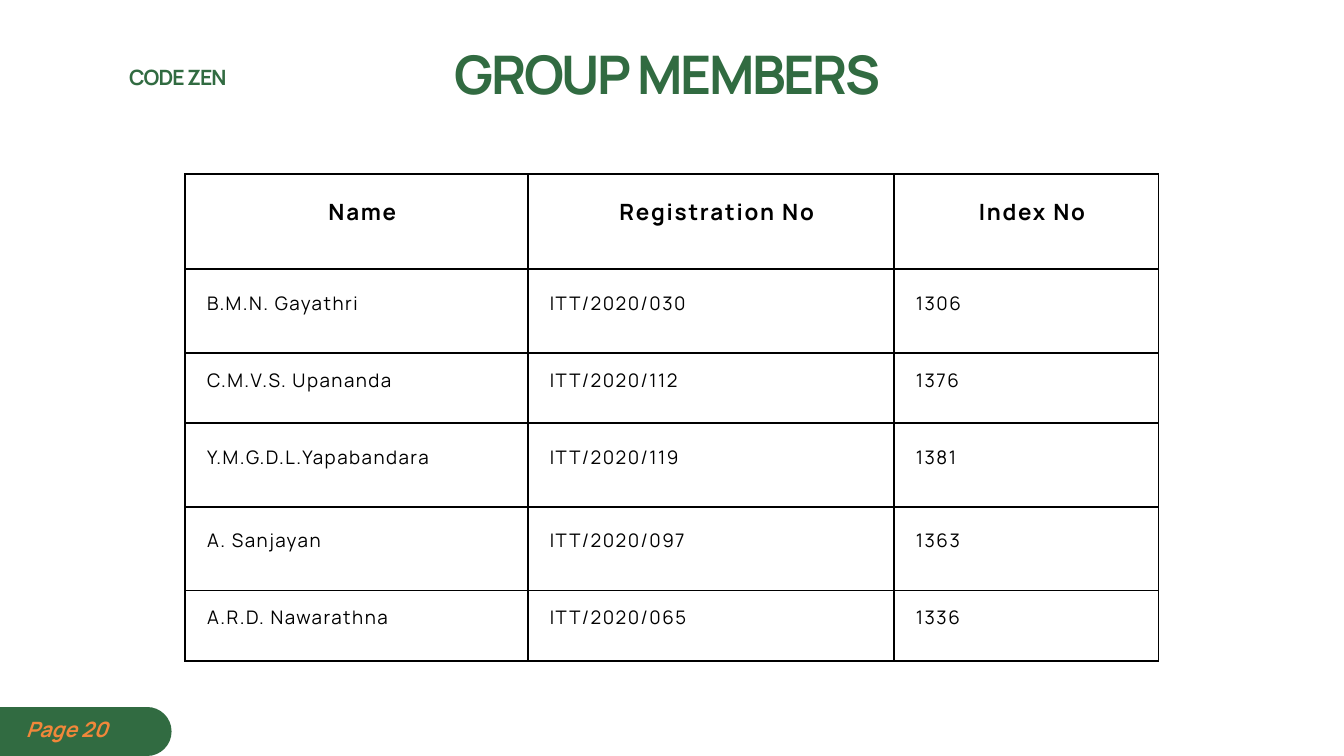
import pptx
import pptx.util
import pptx.dml.color
import pptx.enum.shapes
import pptx.enum.text
import pptx.oxml
import pptx.oxml.ns
from lxml import etree

Cm = pptx.util.Cm
Pt = pptx.util.Pt
RGBColor = pptx.dml.color.RGBColor
ALIGN = pptx.enum.text.PP_ALIGN
qn = pptx.oxml.ns.qn

GREEN = RGBColor(0x31, 0x6B, 0x41)
ORANGE = RGBColor(0xF1, 0x87, 0x3A)
BLACK = RGBColor(0, 0, 0)

LABELS = [
    {"text": "GROUP MEMBERS", "at": (7.26, 1.17, 36.3, 2.87), "inset_right": 0.36,
     "align": ALIGN.CENTER, "leading": 79.8, "spacing": -2.5,
     "font": {"size": Pt(57), "bold": True}, "color": GREEN},
    {"text": "CODE ZEN", "at": (4.88, 2.29, 11.07, 1.14), "inset_right": 0,
     "align": ALIGN.LEFT, "leading": 31.6, "spacing": -1,
     "font": {"size": Pt(22.6), "bold": True}, "color": GREEN},
    {"text": "Page 20", "at": (0, 27.23, 4.06, 0.89), "inset_right": 0,
     "align": ALIGN.RIGHT, "leading": 22.6, "spacing": 0,
     "font": {"size": Pt(22.6), "bold": True, "italic": True}, "color": ORANGE},
]

MEMBERS = [
    ("Name", "Registration No", "Index No"),
    ("B.M.N. Gayathri", "ITT/2020/030", "1306"),
    ("C.M.V.S. Upananda", "ITT/2020/112", "1376"),
    ("Y.M.G.D.L.Yapabandara", "ITT/2020/119", "1381"),
    ("A. Sanjayan", "ITT/2020/097", "1363"),
    ("A.R.D. Nawarathna", "ITT/2020/065", "1336"),
]
COL_WIDTHS = [12.95, 13.84, 10]
ROW_HEIGHTS = [3.6, 3.16, 2.66, 3.16, 3.16, 2.66]
TABLE_LEFT, TABLE_TOP = 7, 6.58
CELL_INSET = 0.51

HEADER = {"align": ALIGN.CENTER, "leading": 12, "spacing": 1.9, "inset_left": 0.95,
          "font": {"size": Pt(24), "bold": True}, "color": BLACK}
BODY = {"align": ALIGN.LEFT, "leading": 10, "spacing": 1.6, "inset_left": 0.83,
        "font": {"size": Pt(20), "bold": False}, "color": BLACK}


def write(tf, text, style):
    p = tf.paragraphs[0]
    p.alignment = style["align"]
    p.line_spacing = Pt(style["leading"])
    r = p.add_run()
    r.text = text
    r.font.name = "Manrope"
    r.font.color.rgb = style["color"]
    for name, value in style["font"].items():
        setattr(r.font, name, value)
    r._r.get_or_add_rPr().set("spc", str(round(style["spacing"] * 100)))


def add_label(s, label):
    sp = s.shapes.add_textbox(*map(Cm, label["at"]))
    tf = sp.text_frame
    tf.word_wrap = True
    tf.auto_size = pptx.enum.text.MSO_AUTO_SIZE.SHAPE_TO_FIT_TEXT
    tf.margin_left = tf.margin_top = tf.margin_bottom = 0
    tf.margin_right = Cm(label["inset_right"])
    write(tf, label["text"], label)


def add_page_band(s):
    sp = s.shapes.add_connector(pptx.enum.shapes.MSO_CONNECTOR.STRAIGHT,
                                Cm(-1.5), Cm(27.65), Cm(5.56), Cm(27.65))
    sp.line.color.rgb = GREEN
    sp.line.width = Pt(52.5)
    sp.line._get_or_add_ln().set("cap", "rnd")
    etree.SubElement(sp._element.spPr, qn("a:effectLst"))


def add_borders(cell):
    tcPr = cell._tc.get_or_add_tcPr()
    for side in ("a:lnL", "a:lnR", "a:lnT", "a:lnB"):
        ln = etree.SubElement(tcPr, qn(side), w=str(Pt(2.25)))
        fill = etree.SubElement(ln, qn("a:solidFill"))
        etree.SubElement(fill, qn("a:srgbClr"), val=str(BLACK))


def add_members_table(s):
    frame = s.shapes.add_table(len(MEMBERS), len(COL_WIDTHS), Cm(TABLE_LEFT), Cm(TABLE_TOP),
                               Cm(sum(COL_WIDTHS)), Cm(sum(ROW_HEIGHTS)))
    table = frame.table
    table.horz_banding = False
    for col, width in zip(table.columns, COL_WIDTHS):
        col.width = Cm(width)
    for i, (row, height) in enumerate(zip(table.rows, ROW_HEIGHTS)):
        row.height = Cm(height)
        style = BODY if i else HEADER
        for cell, text in zip(row.cells, MEMBERS[i]):
            add_borders(cell)
            cell.fill.background()
            cell.vertical_anchor = pptx.enum.text.MSO_ANCHOR.MIDDLE
            cell.margin_left = Cm(style["inset_left"])
            cell.margin_right = cell.margin_top = cell.margin_bottom = Cm(CELL_INSET)
            write(cell.text_frame, text, style)


def main():
    prs = pptx.Presentation()
    prs.slide_width, prs.slide_height = Cm(50.8), Cm(28.58)
    s = prs.slides.add_slide(prs.slide_layouts[6])
    add_page_band(s)
    for label in LABELS:
        add_label(s, label)
    add_members_table(s)
    prs.save("out.pptx")


if __name__ == "__main__":
    main()
